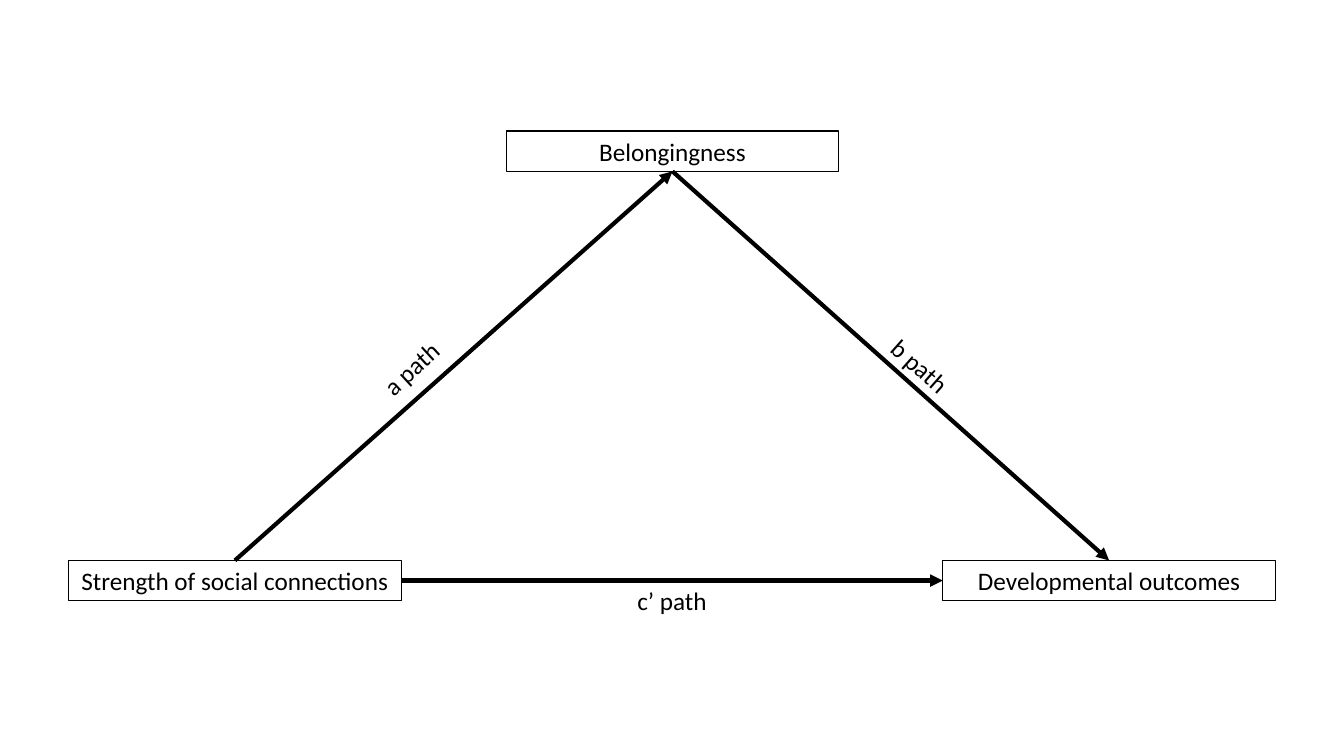
from lxml.etree import SubElement
from pptx import Presentation
from pptx.dml.color import RGBColor
from pptx.enum.shapes import MSO_CONNECTOR, MSO_SHAPE
from pptx.enum.text import MSO_ANCHOR, MSO_AUTO_SIZE, PP_ALIGN
from pptx.oxml.ns import qn
from pptx.util import Inches, Pt

BLACK = RGBColor(0, 0, 0)
BOX_W, LABEL_W, TEXT_H = 3.3, 1.55, 0.4


def write(sp, text):
    """Put one centred line of 18 pt text in a shape."""
    tf = sp.text_frame
    tf.word_wrap = True
    tf.auto_size = MSO_AUTO_SIZE.SHAPE_TO_FIT_TEXT
    tf.vertical_anchor = MSO_ANCHOR.TOP
    p = tf.paragraphs[0]
    p.text = text
    p.alignment = PP_ALIGN.CENTER
    p.font.name = "Calibri"
    p.font.size = Pt(18)
    p.font.color.rgb = BLACK


prs = Presentation()
prs.slide_width, prs.slide_height = Inches(13.33), Inches(7.5)
s = prs.slides.add_slide(prs.slide_layouts[6])

# Variables: text, left, top
variables = [
    ("Strength of social connections", 0.68, 5.56),
    ("Belongingness", 5.02, 1.3),
    ("Developmental outcomes", 9.35, 5.56),
]
boxes = []
for text, left, top in variables:
    sp = s.shapes.add_shape(MSO_SHAPE.RECTANGLE, Inches(left), Inches(top),
                            Inches(BOX_W), Inches(TEXT_H))
    sp.shadow.inherit = False
    sp.fill.background()
    sp.line.color.rgb = BLACK
    sp.line.width = Pt(0.75)
    write(sp, text)
    boxes.append(sp)
predictor, mediator, outcome = boxes

# Arrows join connection sites: 0 top, 1 left, 2 bottom, 3 right
TOP, LEFT, BOTTOM, RIGHT = range(4)
paths = [
    (predictor, TOP, mediator, BOTTOM),
    (mediator, BOTTOM, outcome, TOP),
    (predictor, RIGHT, outcome, LEFT),
]
for start, start_site, end, end_site in paths:
    arrow = s.shapes.add_connector(MSO_CONNECTOR.STRAIGHT, 0, 0, 0, 0)
    arrow.begin_connect(start, start_site)
    arrow.end_connect(end, end_site)
    arrow.line.color.rgb = BLACK
    arrow.line.width = Pt(3)
    SubElement(arrow.line._get_or_add_ln(), qn("a:tailEnd"), type="triangle")
    SubElement(arrow._element.spPr, qn("a:effectLst"))

# Path labels: text, left, top, rotation
labels = [
    ("a path", 3.3, 3.45, -42.4),
    ("b path", 8.35, 3.43, 41.4),
    ("c’ path", 5.89, 5.76, 0),
]
for text, left, top, rotation in labels:
    sp = s.shapes.add_textbox(Inches(left), Inches(top),
                              Inches(LABEL_W), Inches(TEXT_H))
    sp.rotation = rotation
    write(sp, text)

prs.save("out.pptx")
